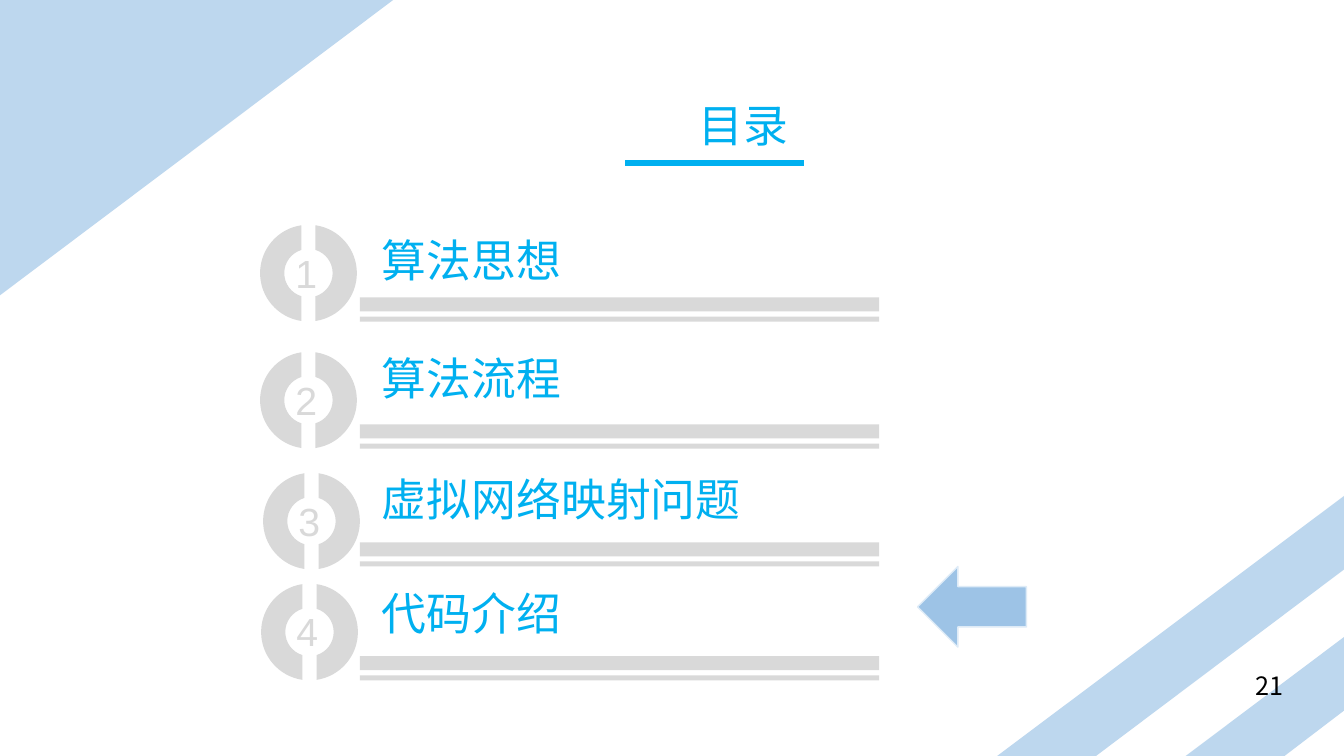
from math import asin, cos, pi, sin, tan
from lxml import etree
from pptx import Presentation
from pptx.dml.color import RGBColor
from pptx.enum.shapes import MSO_CONNECTOR, MSO_SHAPE
from pptx.enum.text import MSO_ANCHOR, MSO_AUTO_SIZE, PP_ALIGN
from pptx.oxml.ns import qn
from pptx.util import Inches, Pt

RECT, LEFT_ARROW = MSO_SHAPE.RECTANGLE, MSO_SHAPE.LEFT_ARROW
STRAIGHT = MSO_CONNECTOR.STRAIGHT
TOP, LEFT = MSO_ANCHOR.TOP, PP_ALIGN.LEFT
GROW = MSO_AUTO_SIZE.SHAPE_TO_FIT_TEXT

THEME = {
    "accent": RGBColor(0x00, 0xB0, 0xF0),
    "band": RGBColor(0xBD, 0xD7, 0xEE),
    "grey": RGBColor(0xD9, 0xD9, 0xD9),
    "arrow": RGBColor(0x9D, 0xC3, 0xE6),
    "arrow_edge": RGBColor(0xDE, 0xEB, 0xF7),
    "white": RGBColor(0xFF, 0xFF, 0xFF),
    "black": RGBColor(0, 0, 0),
    "cjk": "Noto Sans CJK SC",
    "latin": "Arial",
    "heading": Pt(32),
    "number": Pt(28),
    "page": Pt(18),
}

prs = Presentation()
prs.slide_width, prs.slide_height = Inches(13.33), Inches(7.5)
s = prs.slides.add_slide(prs.slide_layouts[5])


def draw_outline(contours, color):
    """Draw closed contours, in inches, as one filled freeform."""
    contours = [[(Inches(x), Inches(y)) for x, y in c] for c in contours]
    builder = s.shapes.build_freeform(*contours[0][0], scale=1.0)
    for i, points in enumerate(contours):
        if i:
            builder.move_to(*points[0])
        builder.add_line_segments(points[1:], close=True)
    sp = builder.convert_to_shape()
    sp.shadow.inherit = False
    sp.fill.solid()
    sp.fill.fore_color.rgb = color
    sp.line.fill.background()
    return sp


def write_text(sp, box, text, size, color, font, wrap=True):
    """Place a text shape and give it one left-aligned line."""
    tf = sp.text_frame
    tf.word_wrap = wrap
    tf.auto_size = GROW
    tf.vertical_anchor = TOP
    p = tf.paragraphs[0]
    p.text = text
    p.alignment = LEFT
    p.font.size, p.font.name, p.font.color.rgb = THEME[size], THEME[font], THEME[color]
    ea = etree.SubElement(p._p.pPr.find(qn("a:defRPr")), qn("a:ea"))
    ea.set("typeface", THEME[font])
    sp.left, sp.top, sp.width, sp.height = [Inches(v) for v in box]


# Corner bands
for band in (
    [(0, 0), (3.9, 0), (0, 2.93)],
    [(13.33, 6.32), (13.33, 7.05), (12.74, 7.5), (11.76, 7.5)],
    [(13.33, 4.92), (13.33, 5.65), (10.87, 7.5), (9.89, 7.5)],
):
    draw_outline([band], THEME["band"])

# Title with underline
write_text(s.shapes.title, (6.83, 0.92, 1.35, 0.64), "目录", "heading", "accent", "cjk")
underline = s.shapes.add_connector(STRAIGHT, Inches(6.2), Inches(1.62), Inches(7.97), Inches(1.62))
underline.line.color.rgb = THEME["accent"]
underline.line.width = Pt(4.5)
etree.SubElement(underline._element.spPr, qn("a:effectLst"))

# Agenda entries: split ring with number, double rule, heading
OUTER, INNER, HALF_GAP = 0.48, 0.24, 0.07
HALF_SEGMENTS = 13
CURVE_STARTS = (0, 3, 7, 10)
entries = [  # heading, its top and width, ring centre, rule top
    ("算法思想", 2.26, 2.0, 3.06, 2.71, 2.95),
    ("算法流程", 3.43, 4.37, 3.06, 3.97, 4.21),
    ("虚拟网络映射问题", 4.63, 5.55, 3.09, 5.17, 5.38),
    ("代码介绍", 5.76, 4.61, 3.07, 6.27, 6.51),
]
for number, (heading, top, width, cx, cy, rule_top) in enumerate(entries, 1):
    # Ring halves: each edge is two cubic curves, given by their control points
    halves = []
    for side in (1, -1):
        half = []
        for radius, turn in ((OUTER, 1), (INNER, -1)):
            sweep = turn * (pi / 2 - asin(HALF_GAP / radius))
            k = 4 / 3 * tan(sweep / 4)
            unit = [(cos(sweep), -sin(sweep))]
            for a, b in ((-sweep, 0), (0, sweep)):
                unit += [(cos(a) - k * sin(a), sin(a) + k * cos(a)),
                         (cos(b) + k * sin(b), sin(b) - k * cos(b)),
                         (cos(b), sin(b))]
            half += [(cx + side * radius * x, cy + radius * y) for x, y in unit]
        halves.append(half)
    ring = draw_outline(halves, THEME["grey"])
    segments = list(ring._element.iter(qn("a:lnTo")))
    for first in range(0, len(segments), HALF_SEGMENTS):
        for start in CURVE_STARTS:
            group = segments[first + start:first + start + 3]
            curve = etree.Element(qn("a:cubicBezTo"))
            group[0].addprevious(curve)
            for segment in group:
                curve.append(segment[0])
                segment.getparent().remove(segment)

    write_text(s.shapes.add_textbox(0, 0, 0, 0), (cx - 0.23, cy - 0.29, 0.41, 0.57),
               str(number), "number", "grey", "latin", wrap=False)
    for offset, height in ((0, 0.14), (0.19, 0.05)):
        rule = s.shapes.add_shape(RECT, Inches(3.57), Inches(rule_top + offset),
                                  Inches(5.15), Inches(height))
        rule.shadow.inherit = False
        rule.fill.solid()
        rule.fill.fore_color.rgb = THEME["grey"]
        rule.line.fill.background()

    # The first heading sits on a white panel
    if number == 1:
        label = s.shapes.add_shape(RECT, 0, 0, 0, 0)
        label.shadow.inherit = False
        label.fill.solid()
        label.fill.fore_color.rgb = THEME["white"]
        label.line.fill.background()
    else:
        label = s.shapes.add_textbox(0, 0, 0, 0)
    write_text(label, (3.69, top, width, 0.64), heading, "heading", "accent", "cjk")

# Arrow marking the current entry
arrow = s.shapes.add_shape(LEFT_ARROW, Inches(9.1), Inches(5.62), Inches(1.08), Inches(0.8))
arrow.shadow.inherit = False
arrow.fill.solid()
arrow.fill.fore_color.rgb = THEME["arrow"]
arrow.line.color.rgb = THEME["arrow_edge"]
arrow.line.width = Pt(1)

# Page number
write_text(s.shapes.add_textbox(0, 0, 0, 0), (12.35, 6.6, 0.63, 0.4),
           "21", "page", "black", "cjk")

prs.save("out.pptx")
